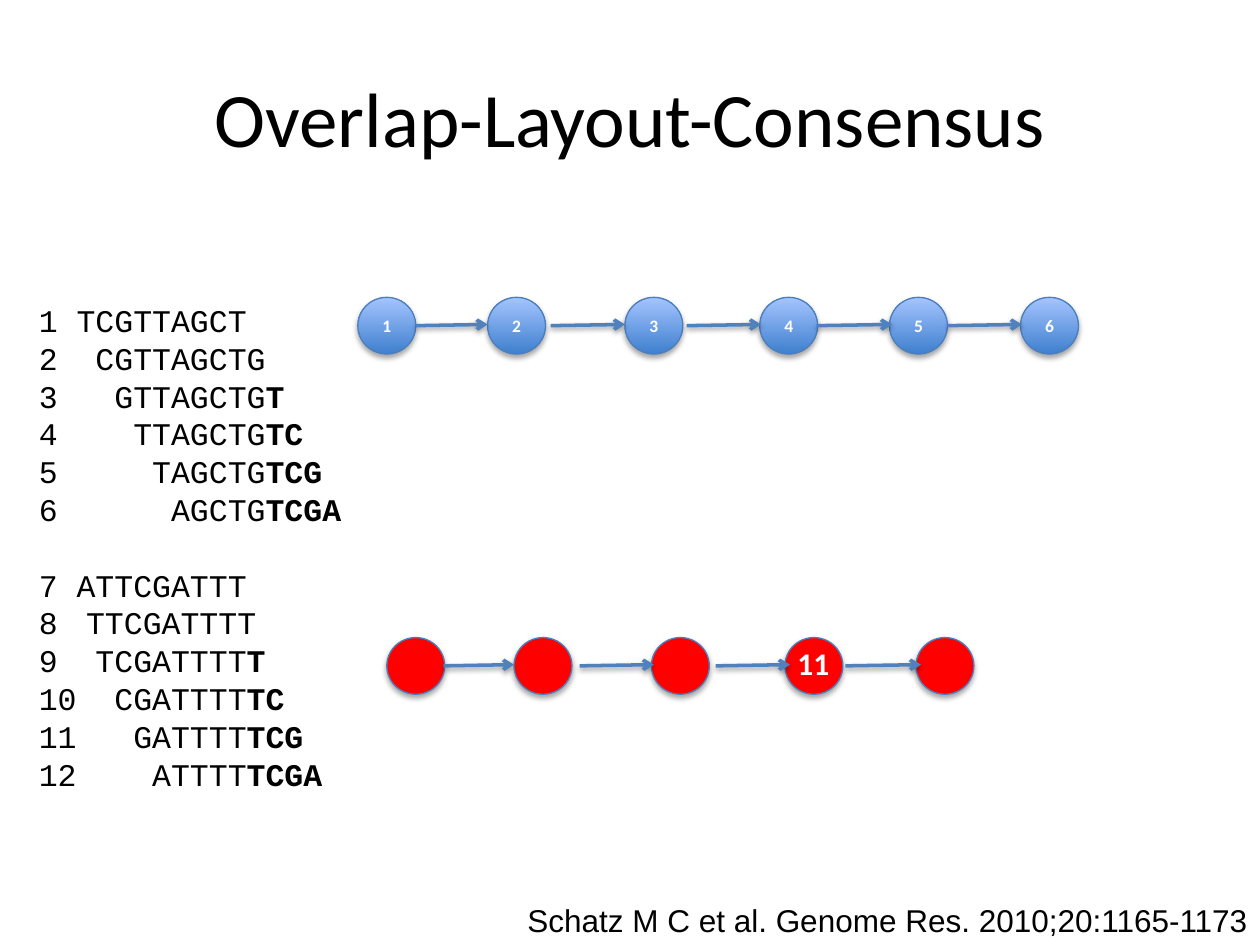
from lxml.etree import SubElement
from pptx import Presentation
from pptx.dml.color import RGBColor
from pptx.enum.shapes import MSO_CONNECTOR, MSO_SHAPE
from pptx.enum.text import MSO_ANCHOR, PP_ALIGN
from pptx.oxml.ns import qn
from pptx.util import Inches, Pt

BLACK = RGBColor(0x00, 0x00, 0x00)
WHITE = RGBColor(0xFF, 0xFF, 0xFF)
RED = RGBColor(0xFF, 0x00, 0x00)
BLUE_DARK = RGBColor(0x3F, 0x80, 0xCE)
BLUE_LIGHT = RGBColor(0xA4, 0xC4, 0xFF)
OUTLINE = RGBColor(0x4B, 0x7E, 0xBC)
ARROW = RGBColor(0x4F, 0x81, 0xBD)

TITLE = "Overlap-Layout-Consensus"
CITATION = "Schatz M C et al. Genome Res. 2010;20:1165-1173"
# Each read: number, start column, shared bases, new bases
READS = [
    (1, 2, "TCGTTAGCT", ""),
    (2, 3, "CGTTAGCTG", ""),
    (3, 4, "GTTAGCTG", "T"),
    (4, 5, "TTAGCTG", "TC"),
    (5, 6, "TAGCTG", "TCG"),
    (6, 7, "AGCTG", "TCGA"),
    (7, 2, "ATTCGATTT", ""),
    (8, 2.5, "TTCGATTTT", ""),
    (9, 3, "TCGATTTT", "T"),
    (10, 4, "CGATTTT", "TC"),
    (11, 5, "GATTTT", "TCG"),
    (12, 6, "ATTTT", "TCGA"),
]
AUTO_NUMBERED, SECOND_CONTIG = 8, 7
CHAINS = [
    {"top": 2.36, "numbered": True,
     "nodes": [2.84, 3.87, 4.96, 6.03, 7.06, 8.1],
     "arrows": [(3.3, 3.87), (4.37, 4.96), (5.45, 6.04), (6.48, 7.08), (7.52, 8.11)]},
    {"top": 5.06, "numbered": False,
     "nodes": [3.07, 4.08, 5.17, 6.23, 7.27],
     "arrows": [(3.52, 4.08), (4.6, 5.19), (5.68, 6.27), (6.71, 7.31)]},
]
NODE_W, NODE_H = 0.46, 0.45
CHAR_W, LINE_H = 0.15, 21.6


def add_run(p, text, font, size, color, bold=False):
    """Append one formatted run."""
    r = p.add_run()
    r.text = text
    r.font.name, r.font.size, r.font.bold = font, Pt(size), bold
    r.font.color.rgb = color


def add_box(s, left, top, width, height, wrap):
    """Add a text box and return its text frame."""
    tf = s.shapes.add_textbox(*map(Inches, (left, top, width, height))).text_frame
    tf.word_wrap = wrap
    return tf


def add_shadow(shape, alpha, dist):
    """Give a shape a soft shadow that falls straight down."""
    effects = SubElement(shape._element.spPr, qn("a:effectLst"))
    shadow = SubElement(effects, qn("a:outerShdw"), blurRad=str(Pt(3.1)),
                        dist=str(Pt(dist)), dir="5400000", rotWithShape="0")
    color = SubElement(shadow, qn("a:srgbClr"), val="000000")
    SubElement(color, qn("a:alpha"), val=str(alpha * 1000))


def add_node(s, left, top, label):
    """Add a numbered blue node or a plain red one."""
    sp = s.shapes.add_shape(MSO_SHAPE.OVAL, *map(Inches, (left, top, NODE_W, NODE_H)))
    sp.line.color.rgb, sp.line.width = OUTLINE, Pt(0.75)
    if label:
        sp.fill.gradient()
        sp.fill.gradient_angle = 90
        for stop, color in zip(sp.fill.gradient_stops, (BLUE_DARK, BLUE_LIGHT)):
            stop.color.rgb = color
        tf = sp.text_frame
        tf.vertical_anchor = MSO_ANCHOR.MIDDLE
        tf.paragraphs[0].alignment = PP_ALIGN.CENTER
        add_run(tf.paragraphs[0], label, "Calibri", 10, WHITE, True)
    else:
        sp.fill.solid()
        sp.fill.fore_color.rgb = RED
    add_shadow(sp, 35, 1.8)


def add_arrow(s, start, end, y):
    """Add an overlap arrow between two nodes."""
    line = s.shapes.add_connector(MSO_CONNECTOR.STRAIGHT, Inches(start), Inches(y),
                                  Inches(end), Inches(y - 0.01))
    line.line.color.rgb, line.line.width = ARROW, Pt(2)
    SubElement(line.line._get_or_add_ln(), qn("a:tailEnd"), type="arrow")
    add_shadow(line, 38, 1.6)


def add_reads(s):
    """List the reads, each starting at its own column."""
    tf = add_box(s, 0.21, 2.34, 2.63, 4.04, False)
    for i, (number, column, shared, new) in enumerate(READS):
        p = tf.add_paragraph() if i else tf.paragraphs[0]
        pPr, indent = p._p.get_or_add_pPr(), Inches(column * CHAR_W)
        if number == AUTO_NUMBERED:
            pPr.set("marL", str(indent))
            pPr.set("indent", str(-indent))
            SubElement(pPr, qn("a:buFont"), typeface="Courier New")
            SubElement(pPr, qn("a:buAutoNum"), type="arabicPlain", startAt=str(number))
        else:
            tabs = SubElement(pPr, qn("a:tabLst"))
            SubElement(tabs, qn("a:tab"), pos=str(indent), algn="l")
            shared = f"{number}\t{shared}"
        p.line_spacing = Pt(LINE_H)
        if number == SECOND_CONTIG:
            p.space_before = Pt(LINE_H)
        add_run(p, shared, "Courier New", 18, BLACK)
        if new:
            add_run(p, new, "Courier New", 18, BLACK, True)


def main():
    """Build the slide."""
    prs = Presentation()
    prs.slide_width, prs.slide_height = Inches(10), Inches(7.5)
    s = prs.slides.add_slide(prs.slide_layouts[5])
    title = s.shapes.title
    title.left, title.top, title.width, title.height = map(Inches, (0.5, 0.3, 9, 1.25))
    title.text_frame.vertical_anchor = MSO_ANCHOR.MIDDLE
    p = title.text_frame.paragraphs[0]
    p.alignment = PP_ALIGN.CENTER
    add_run(p, TITLE, "Calibri", 44, BLACK)

    p = add_box(s, 2.5, 7.1, 7.5, 0.4, True).paragraphs[0]
    p.alignment = PP_ALIGN.RIGHT
    add_run(p, CITATION, "Arial", 18, BLACK)

    add_reads(s)
    for chain in CHAINS:
        top = chain["top"]
        for i, left in enumerate(chain["nodes"]):
            add_node(s, left, top, str(i + 1) if chain["numbered"] else "")
            if i:
                add_arrow(s, *chain["arrows"][i - 1], top + NODE_H / 2)

    p = add_box(s, 6.23, 5.06, NODE_W, 0.4, False).paragraphs[0]
    add_run(p, "11", "Calibri", 18, WHITE, True)
    prs.save("out.pptx")


if __name__ == "__main__":
    main()
